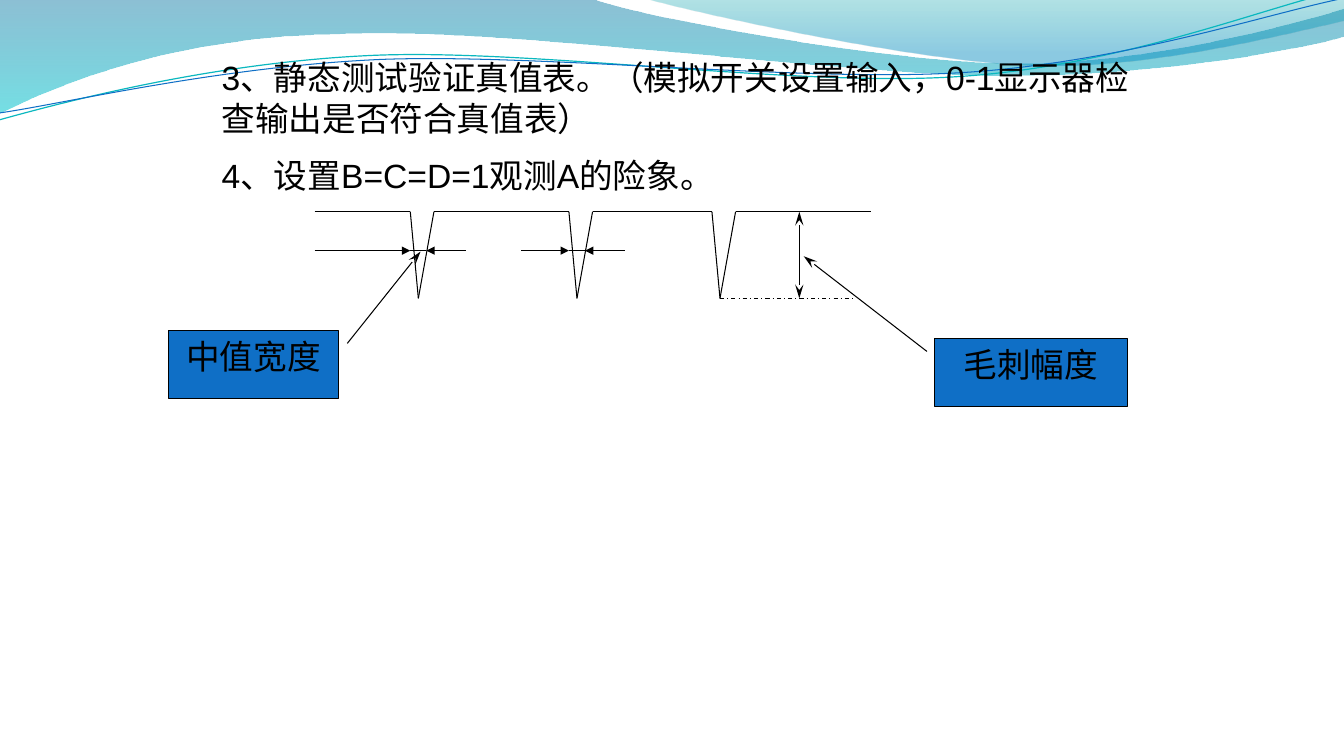
import dataclasses
import math

import pptx
import pptx.dml.color
import pptx.enum.dml
import pptx.enum.shapes
import pptx.enum.text
import pptx.oxml
import pptx.oxml.ns
import pptx.util

Inches = pptx.util.Inches
Point = pptx.util.Pt
qualified = pptx.oxml.ns.qn
SHAPES = pptx.enum.shapes


@dataclasses.dataclass(frozen=True)
class Theme:
    font: str = "Arial"
    text_size: float = 24
    line_width: float = 0.75
    ink: str = "000000"
    label_fill: str = "0F6FC6"
    teal_line: str = "0AB8BF"


@dataclasses.dataclass(frozen=True)
class Box:
    left: float
    top: float
    width: float
    height: float

    def at(self, across, down):
        """Slide position of a point given as shares of this box."""
        return self.left + across * self.width, self.top + down * self.height

    def emu(self):
        return [Inches(v) for v in (self.left, self.top, self.width, self.height)]


THEME = Theme()
SLIDE = Box(0, 0, 13.33, 7.5)
WAVE_TILT = -2.7


def rgb(color):
    return pptx.dml.color.RGBColor.from_string(color)


def style_line(line, color=THEME.ink, width=THEME.line_width, head=None, tail=None, dash=None):
    line.color.rgb = rgb(color)
    line.width = Point(width)
    if dash:
        line.dash_style = dash
    properties = line._get_or_add_ln()
    for tag, kind in (("a:headEnd", head), ("a:tailEnd", tail)):
        if kind:
            length = "lg" if kind == "stealth" else "med"
            properties.append(pptx.oxml.parse_xml(
                f'<{tag} {pptx.oxml.ns.nsdecls("a")} type="{kind}" len="{length}"/>'))


def style_text(paragraph):
    paragraph.font.name = THEME.font
    paragraph.font.size = Point(THEME.text_size)
    paragraph.font.color.rgb = rgb(THEME.ink)


def add_line(slide, start, end, **style):
    connector = slide.shapes.add_connector(
        SHAPES.MSO_CONNECTOR.STRAIGHT, *[Inches(v) for v in (*start, *end)])
    style_line(connector.line, **style)
    properties = connector._element.spPr
    properties.append(properties.makeelement(qualified("a:effectLst"), {}))


# Curved decoration: each segment holds one end point or three Bézier points
def add_curve(slide, start, segments, closed):
    builder = slide.shapes.build_freeform(*[Inches(v) for v in start])
    builder.add_line_segments(
        [[Inches(v) for v in segment[-1]] for segment in segments], close=closed)
    shape = builder.convert_to_shape()
    shape.shadow.inherit = False
    for line_to, segment in zip(list(shape._element.iter(qualified("a:lnTo"))), segments):
        if len(segment) == 3:
            line_to.getparent().replace(line_to, curve_to(shape, segment))
    return shape


def curve_to(shape, segment):
    points = "".join(f'<a:pt x="{Inches(x) - shape.left}" y="{Inches(y) - shape.top}"/>'
                     for x, y in segment)
    return pptx.oxml.parse_xml(
        f'<a:cubicBezTo {pptx.oxml.ns.nsdecls("a")}>{points}</a:cubicBezTo>')


def add_ribbon(slide, start, segments, stops):
    shape = add_curve(slide, start, segments, closed=True)
    shape.line.fill.background()
    shape.fill.gradient()
    shape.fill.gradient_angle = 270
    for stop, (position, color, opacity) in zip(shape.fill.gradient_stops, stops):
        stop.position = position
        stop.color.rgb = rgb(color)
        color_element = stop._gs.find(qualified("a:srgbClr"))
        color_element.append(color_element.makeelement(
            qualified("a:alpha"), {"val": str(opacity * 1000)}))


def add_wave(slide, center, start, segments, color, width):
    cosine, sine = (f(math.radians(-WAVE_TILT)) for f in (math.cos, math.sin))

    def level(point):
        x, y = point[0] - center[0], point[1] - center[1]
        return center[0] + x * cosine - y * sine, center[1] + x * sine + y * cosine

    wave = add_curve(slide, level(start),
                     [[level(point) for point in segment] for segment in segments], closed=False)
    wave.rotation = WAVE_TILT
    wave.fill.background()
    style_line(wave.line, color, width)


def add_header(slide, box):
    def place(point):
        return box.left + point[0], box.top + point[1]

    def path(*segments):
        return [[place(point) for point in segment] for segment in segments]

    add_ribbon(slide, place((0, 0)), path(
        [(5.87, -0.01)], [(6.34, 0.17), (8.85, 0.63), (10.11, 0.63)],
        [(11.38, 0.63), (12.78, 0.26), (13.33, 0.09)], [(13.35, 0.36)],
        [(13.11, 0.44), (11.6, 0.76), (9.94, 0.75)], [(8.29, 0.75), (5.09, 0.28), (3.43, 0.34)],
        [(1.72, 0.36), (0.61, 0.83), (-0.01, 1.13)],
    ), [(0, "0074A1", 45), (1, "00C6CF", 55)])
    add_ribbon(slide, place((6.39, -0.01)), path(
        [(6.79, 0.11), (9.09, 0.62), (10.25, 0.65)],
        [(11.41, 0.69), (12.82, 0.32), (13.33, 0.21)], [(13.33, 0)],
    ), [(0, "00A1A9", 30), (0.8, "008BBF", 45)])
    add_wave(slide, place((6.65, 0.58)), place((-0.01, 1.19)), path(
        [(0.64, 1.01), (2.11, 0.62), (3.69, 0.55)], [(5.27, 0.48), (7.9, 0.87), (9.5, 0.76)],
        [(11.1, 0.66), (12.52, 0.08), (13.31, -0.1)]), THEME.teal_line, 0.85)
    add_wave(slide, place((6.67, 0.59)), place((0, 1.12)), path(
        [(0.63, 1.03), (2.18, 0.66), (3.78, 0.59)], [(5.37, 0.53), (7.96, 0.82), (9.55, 0.72)],
        [(11.15, 0.62), (12.55, 0.14), (13.34, -0.02)]), THEME.label_fill, 0.75)


# Numbered steps
def add_steps(slide, box, steps):
    frame = slide.shapes.add_textbox(*box.emu()).text_frame
    frame.word_wrap = True
    frame.auto_size = pptx.enum.text.MSO_AUTO_SIZE.SHAPE_TO_FIT_TEXT
    for index, step in enumerate(steps):
        paragraph = frame.paragraphs[0] if index == 0 else frame.add_paragraph()
        paragraph.text = step
        paragraph.space_before = Point(THEME.text_size / 2)
        style_text(paragraph)


# Waveform with three glitches, their widths and the amplitude
def add_waveform(slide, box):
    starts = [0.17, 0.46, 0.71]
    starts = [0.172, 0.457, 0.714]
    tip, pulse = 0.0145, 0.0425
    middle, middle_width = 0.45, 0.029

    level_start = 0
    for start in starts:
        bottom = box.at(start + tip, 1)
        add_line(slide, box.at(level_start, 0), box.at(start, 0))
        add_line(slide, box.at(start, 0), bottom)
        add_line(slide, bottom, box.at(start + pulse, 0))
        level_start = start + pulse
    add_line(slide, box.at(level_start, 0), box.at(1, 0))

    for start, arrow_start in zip(starts, (0, 0.371)):
        left, right = box.at(start, middle), box.at(start + middle_width, middle)
        add_line(slide, box.at(arrow_start, middle), left, tail="triangle")
        add_line(slide, left, right)
        add_line(slide, box.at(start + 0.1, middle), right, tail="triangle")

    add_line(slide, box.at(starts[-1] + tip, 1), box.at(0.971, 1),
             dash=pptx.enum.dml.MSO_LINE.DASH_DOT)
    add_line(slide, box.at(0.871, 0), box.at(0.871, 1), head="stealth", tail="stealth")


def add_label(slide, box, text, pointer):
    label = slide.shapes.add_shape(SHAPES.MSO_SHAPE.LINE_CALLOUT_1, *box.emu())
    label.shadow.inherit = False
    for index, value in enumerate(pointer):
        label.adjustments[index] = value
    label.fill.solid()
    label.fill.fore_color.rgb = rgb(THEME.label_fill)
    style_line(label.line, tail="stealth")
    frame = label.text_frame
    frame.vertical_anchor = pptx.enum.text.MSO_ANCHOR.TOP
    paragraph = frame.paragraphs[0]
    paragraph.text = text
    paragraph.alignment = pptx.enum.text.PP_ALIGN.CENTER
    style_text(paragraph)


def main():
    presentation = pptx.Presentation()
    presentation.slide_width, presentation.slide_height = SLIDE.emu()[2:]
    slide = presentation.slides.add_slide(presentation.slide_layouts[6])
    add_header(slide, SLIDE)
    add_steps(slide, Box(2.1, 0.52, 9.29, 1.51), [
        "3、静态测试验证真值表。（模拟开关设置输入，0-1显示器检查输出是否符合真值表）",
        "4、设置B=C=D=1观测A的险象。"])
    add_waveform(slide, Box(3.12, 2.1, 5.52, 0.86))
    add_label(slide, Box(1.67, 3.28, 1.69, 0.67), "中值宽度", (0.19, 1.05, -1.17, 1.48))
    add_label(slide, Box(9.27, 3.36, 1.91, 0.67), "毛刺幅度", (0.19, -0.04, -1.22, -0.68))
    presentation.save("out.pptx")


if __name__ == "__main__":
    main()
